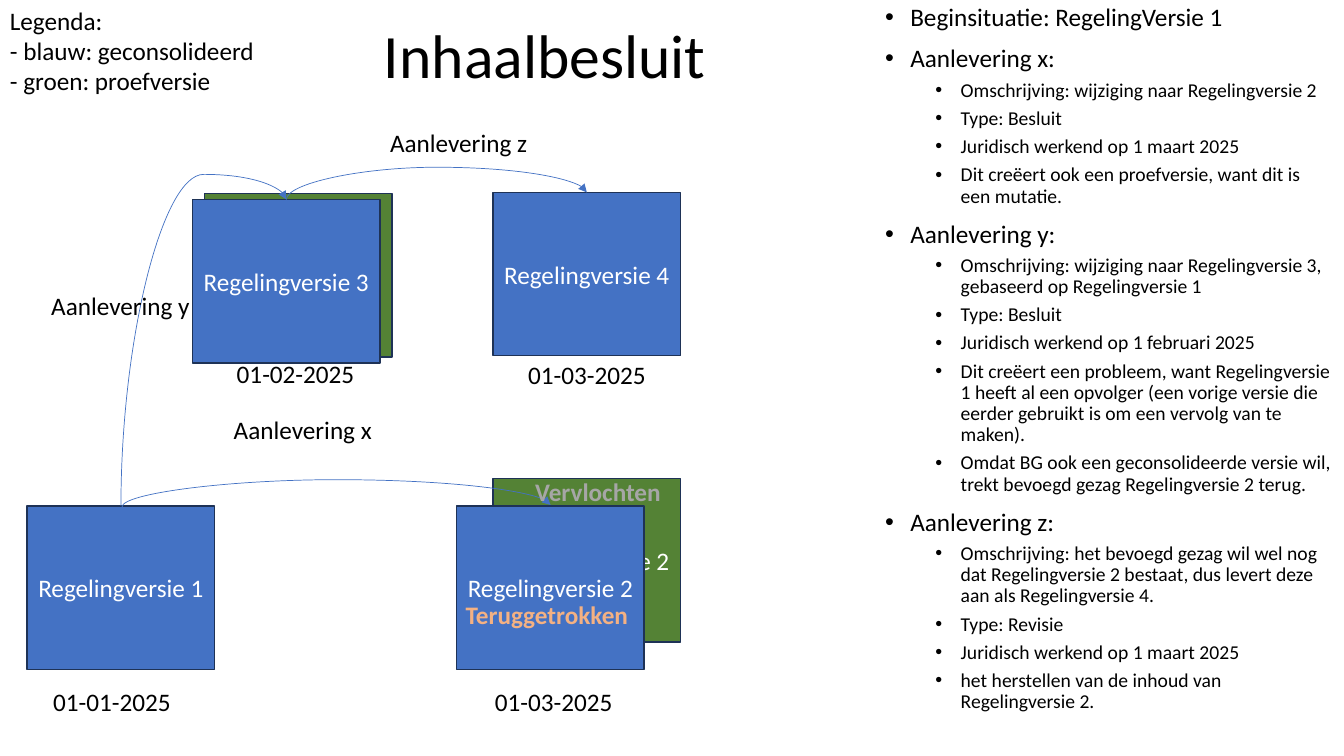
from dataclasses import dataclass

from lxml import etree
from pptx import Presentation
from pptx.dml.color import RGBColor
from pptx.enum import shapes, text
from pptx.oxml import ns
from pptx.util import Inches, Pt


@dataclass(frozen=True)
class Theme:
    font: str = "Calibri"
    black: str = "000000"
    white: str = "FFFFFF"
    consolidated: str = "4472C4"
    draft: str = "548235"
    outline: str = "1E3256"
    withdrawn: str = "F4B183"
    merged: str = "A6A6A6"
    title_size: int = 44
    text_size: int = 18
    detail_size: int = 14


THEME = Theme()
BOX_WIDTH, BOX_HEIGHT = 1.86, 1.62
LABEL_HEIGHT = 0.4

# Version boxes: number, left, top (drafts lie behind)
DRAFTS = [(2, 4.89, 4.75), (3, 2.03, 1.92)]
CONSOLIDATED = [(1, 0.27, 5.02), (2, 4.53, 5.02), (3, 1.91, 1.98), (4, 4.89, 1.91)]

# Deliveries: start, end, rise of the curve above its end
DELIVERY_CURVES = [
    ((1.21, 5.03), (5.46, 5.01), 0.25),
    ((1.2, 5.02), (2.84, 1.98), 0.25),
    ((2.84, 1.98), (5.82, 1.91), 0.25),
]

# Labels: wording, left, top, width
LABELS = [
    ("01-01-2025", 0.43, 6.76, 1.53),
    ("01-03-2025", 4.81, 6.76, 1.53),
    ("01-02-2025", 2.25, 3.51, 1.53),
    ("01-03-2025", 5.14, 3.52, 1.53),
    ("Aanlevering x", 2.22, 4.06, 1.67),
    ("Aanlevering y", 0.41, 2.83, 1.67),
    ("Aanlevering z", 3.77, 1.21, 1.67),
]

LEGEND = ["Legenda:", "- blauw: geconsolideerd", "- groen: proefversie"]

EXPLANATION = [
    ("Beginsituatie: RegelingVersie 1", []),
    ("Aanlevering x:", [
        "Omschrijving: wijziging naar Regelingversie 2",
        "Type: Besluit",
        "Juridisch werkend op 1 maart 2025",
        "Dit creëert ook een proefversie, want dit is een mutatie.",
    ]),
    ("Aanlevering y:", [
        "Omschrijving: wijziging naar Regelingversie 3, gebaseerd op Regelingversie 1",
        "Type: Besluit",
        "Juridisch werkend op 1 februari 2025",
        "Dit creëert een probleem, want Regelingversie 1 heeft al een opvolger "
        "(een vorige versie die eerder gebruikt is om een vervolg van te maken).",
        "Omdat BG ook een geconsolideerde versie wil, trekt bevoegd gezag "
        "Regelingversie 2 terug.",
    ]),
    ("Aanlevering z:", [
        "Omschrijving: het bevoegd gezag wil wel nog dat Regelingversie 2 bestaat, "
        "dus levert deze aan als Regelingversie 4.",
        "Type: Revisie",
        "Juridisch werkend op 1 maart 2025",
        "het herstellen van de inhoud van Regelingversie 2.",
    ]),
]


def color(value):
    return RGBColor.from_string(value)


def style(paragraph, size=THEME.text_size, fill=THEME.black, bold=False):
    font = paragraph.font
    font.name, font.size, font.bold = THEME.font, Pt(size), bold
    font.color.rgb = color(fill)


def add_text(slide, lines, left, top, width, height=LABEL_HEIGHT, **look):
    box = slide.shapes.add_textbox(*map(Inches, (left, top, width, height)))
    frame = box.text_frame
    frame.word_wrap = True
    frame.text = "\n".join(lines)
    for paragraph in frame.paragraphs:
        style(paragraph, **look)
    return frame


def add_version(slide, number, left, top, fill):
    shape = slide.shapes.add_shape(
        shapes.MSO_SHAPE.RECTANGLE,
        *map(Inches, (left, top, BOX_WIDTH, BOX_HEIGHT)))
    shape.shadow.inherit = False
    shape.fill.solid()
    shape.fill.fore_color.rgb = color(fill)
    shape.line.color.rgb = color(THEME.outline)
    shape.line.width = Pt(1)
    frame = shape.text_frame
    frame.vertical_anchor = text.MSO_ANCHOR.MIDDLE
    paragraph = frame.paragraphs[0]
    paragraph.text = f"Regelingversie {number}"
    paragraph.alignment = text.PP_ALIGN.CENTER
    style(paragraph, fill=THEME.white)


def add_delivery_curve(slide, start, end, rise):
    """Arch from start to a higher end on the right: a flipped, turned connector."""
    run, climb = end[0] - start[0], start[1] - end[1]
    middle_x, middle_y = (start[0] + end[0]) / 2, (start[1] + end[1]) / 2
    connector = slide.shapes.add_connector(
        shapes.MSO_CONNECTOR.CURVE,
        Inches(middle_x + climb / 2), Inches(middle_y + run / 2),
        Inches(middle_x - climb / 2), Inches(middle_y - run / 2))
    connector.line.color.rgb = color(THEME.consolidated)
    connector.line.width = Pt(0.5)
    properties = connector._element.spPr
    properties.find(ns.qn("a:xfrm")).set("rot", str(90 * 60000))
    guides = properties.find(ns.qn("a:prstGeom")).get_or_add_avLst()
    bend = round((climb + rise) / climb * 100000)
    etree.SubElement(guides, ns.qn("a:gd"), name="adj1", fmla=f"val {bend}")
    etree.SubElement(properties.find(ns.qn("a:ln")), ns.qn("a:tailEnd"), type="triangle")
    etree.SubElement(properties, ns.qn("a:effectLst"))


def format_bullet(paragraph, indent, space, size):
    style(paragraph, size)
    paragraph.line_spacing = 0.9
    paragraph.space_before = Pt(space)
    properties = paragraph._p.get_or_add_pPr()
    properties.set("marL", str(Inches(indent)))
    properties.set("indent", str(Inches(-0.25)))
    bullet_font = etree.Element(ns.qn("a:buFont"), typeface="Arial")
    bullet = etree.Element(ns.qn("a:buChar"), char="•")
    default_run = properties.find(ns.qn("a:defRPr"))
    default_run.addprevious(bullet_font)
    default_run.addprevious(bullet)


def add_explanation(slide):
    rows = [row for heading, details in EXPLANATION
            for row in [(heading, 0), *((detail, 1) for detail in details)]]
    frame = add_text(slide, [wording for wording, _ in rows], 8.68, 0, 4.65, 7.3)
    for paragraph, (_, level) in zip(frame.paragraphs, rows):
        paragraph.level = level
        if level:
            format_bullet(paragraph, 0.75, 5, THEME.detail_size)
        else:
            format_bullet(paragraph, 0.25, 10, THEME.text_size)


def main():
    presentation = Presentation()
    presentation.slide_width, presentation.slide_height = Inches(13.33), Inches(7.5)
    slide = presentation.slides.add_slide(presentation.slide_layouts[6])

    # Title, legend and explanation
    title = add_text(slide, ["Inhaalbesluit"], 3.71, 0, 5.21, 1.16, size=THEME.title_size)
    title.vertical_anchor = text.MSO_ANCHOR.MIDDLE
    title.paragraphs[0].line_spacing = 0.9
    add_text(slide, LEGEND, 0, 0, 3.14, 1.02)
    add_explanation(slide)

    # Versions
    for versions, fill in ((DRAFTS, THEME.draft), (CONSOLIDATED, THEME.consolidated)):
        for version in versions:
            add_version(slide, *version, fill)

    # Deliveries
    for curve in DELIVERY_CURVES:
        add_delivery_curve(slide, *curve)

    # Dates, delivery names and states
    for wording, *place in LABELS:
        add_text(slide, [wording], *place)
    add_text(slide, ["Teruggetrokken"], 4.52, 5.9, 2.22, fill=THEME.withdrawn, bold=True)
    add_text(slide, ["Vervlochten"], 5.21, 4.68, 1.46, fill=THEME.merged, bold=True)

    presentation.save("out.pptx")


main()
